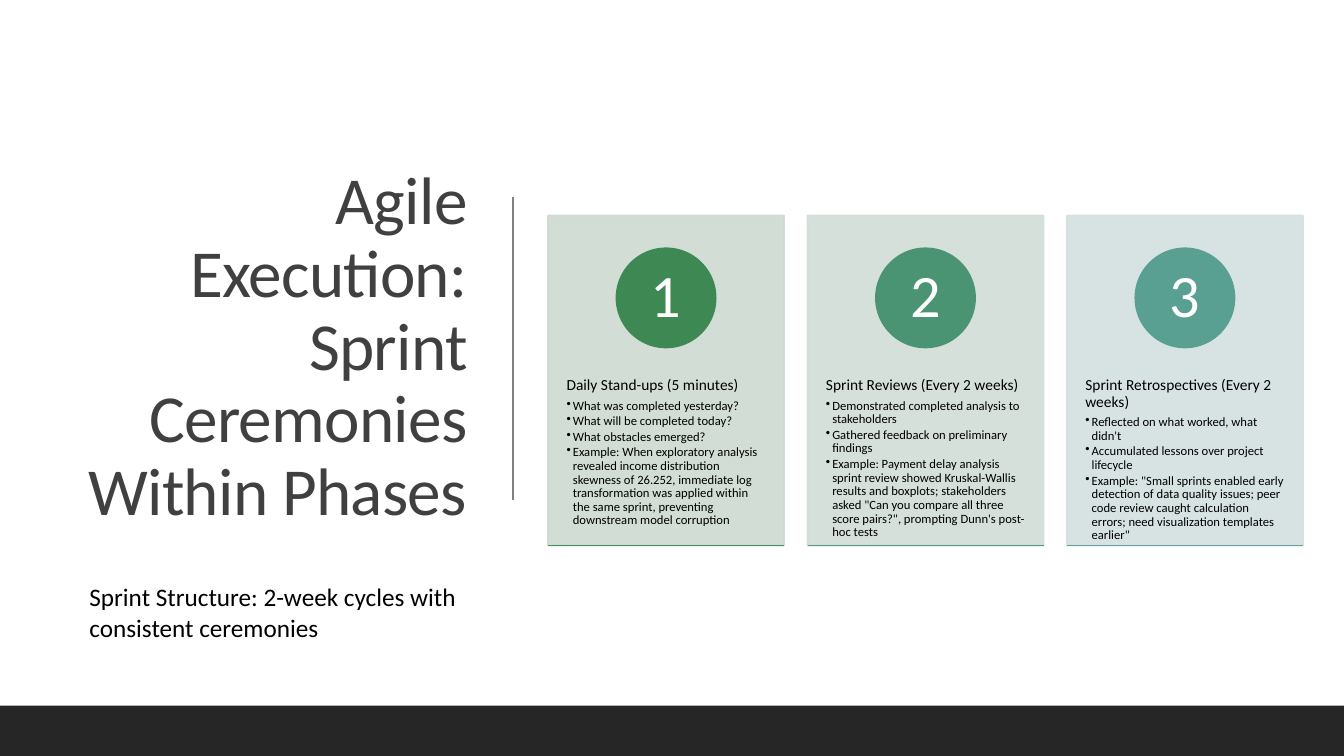
import pptx
import pptx.dml.color
import pptx.enum.shapes
import pptx.enum.text
import pptx.oxml.ns
import pptx.util
from dataclasses import dataclass
from lxml import etree

Pt = pptx.util.Pt
Kind = pptx.enum.shapes.MSO_SHAPE
Side = pptx.enum.text.PP_ALIGN
Hold = pptx.enum.text.MSO_ANCHOR
qn = pptx.oxml.ns.qn


@dataclass(frozen=True)
class Theme:
    font: str = "Calibri"
    page: str = "FFFFFF"
    title: str = "404040"
    text: str = "000000"
    rule: str = "808080"
    band: str = "262626"
    huge: float = 48
    digit: float = 43
    note: float = 18
    head: float = 11
    item: float = 9


def rgb(code):
    return pptx.dml.color.RGBColor.from_string(code)


def write(para, text, font, size, color, side=Side.LEFT, lead=None,
          after=0, bullet=None, track=None):
    """Put one formatted run of text in a paragraph."""
    if bullet:
        props = para._p.get_or_add_pPr()
        props.set("marL", str(Pt(4.5)))
        props.set("indent", str(Pt(-4.5)))
        etree.SubElement(props, qn("a:buChar"), char=bullet)
    para.alignment = side
    para.space_after = Pt(after)
    if lead:
        para.line_spacing = lead
    run = para.add_run()
    run.text = text
    run.font.name = font
    run.font.size = Pt(size)
    run.font.color.rgb = rgb(color)
    if track:
        run._r.get_or_add_rPr().set("spc", str(track))


class Deck:
    def __init__(self, theme):
        self.theme = theme
        self.file = pptx.Presentation()
        self.file.slide_width = Pt(960)
        self.file.slide_height = Pt(540)
        self.slide = self.file.slides.add_slide(self.file.slide_layouts[6])
        back = self.slide.background.fill
        back.solid()
        back.fore_color.rgb = rgb(theme.page)

    def shape(self, kind, x, y, w, h, color, edge=None, alpha=None):
        item = self.slide.shapes.add_shape(kind, Pt(x), Pt(y), Pt(w), Pt(h))
        item.shadow.inherit = False
        item.fill.solid()
        item.fill.fore_color.rgb = rgb(color)
        if edge:
            item.line.color.rgb = rgb(color)
            item.line.width = Pt(edge)
        else:
            item.line.fill.background()
        if alpha:
            for tone in item._element.spPr.iter(qn("a:srgbClr")):
                etree.SubElement(tone, qn("a:alpha"), val=str(alpha * 1000))

    def line(self, x1, y1, x2, y2, color, width):
        item = self.slide.shapes.add_connector(
            pptx.enum.shapes.MSO_CONNECTOR.STRAIGHT,
            Pt(x1), Pt(y1), Pt(x2), Pt(y2))
        item.line.color.rgb = rgb(color)
        item.line.width = Pt(width)
        etree.SubElement(item._element.spPr, qn("a:effectLst"))

    def text(self, x, y, w, h, paras, hold=Hold.TOP, pad=(7.2, 3.6)):
        """Add a text box; each paragraph is a (text, format) pair."""
        box = self.slide.shapes.add_textbox(Pt(x), Pt(y), Pt(w), Pt(h))
        frame = box.text_frame
        frame.word_wrap = True
        frame.vertical_anchor = hold
        frame.margin_left = frame.margin_right = Pt(pad[0])
        frame.margin_top = frame.margin_bottom = Pt(pad[1])
        for place, (words, style) in enumerate(paras):
            para = frame.add_paragraph() if place else frame.paragraphs[0]
            look = {"font": self.theme.font, "color": self.theme.text, **style}
            write(para, words, **look)

    def card(self, x, digit, head, items, tint, disc, base):
        look = self.theme
        top, wide, tall, size = 154, 168.6, 235.7, 70.8
        mid = x + wide / 2
        self.shape(Kind.RECTANGLE, x, top, wide, tall, tint, 1.25, 90)
        # Heading and bullets
        paras = [(head, dict(size=look.head, lead=0.9, after=3.85))]
        paras += [(item, dict(size=look.item, lead=0.9, after=1.35,
                              bullet="•")) for item in items]
        self.text(x, 243.4, wide, 141.4, paras, pad=(13.2, 26))
        # Numbered disc
        self.shape(Kind.OVAL, mid - size / 2, 177.4, size, size, disc, 1.25)
        self.text(mid - 25, 187.8, 50, 50,
                  [(digit, dict(size=look.digit, color=look.page,
                                side=Side.CENTER, lead=0.9))],
                  Hold.MIDDLE, (5.5, 0.9))
        # Base line
        self.line(x, top + tall, x + wide, top + tall, base, 1.25)


CARDS = [
    ("Daily Stand-ups (5 minutes)",
     ["What was completed yesterday?",
      "What will be completed today?",
      "What obstacles emerged?",
      "Example: When exploratory analysis revealed income distribution "
      "skewness of 26.252, immediate log transformation was applied within "
      "the same sprint, preventing downstream model corruption"],
     "CEDAD1", "3E8853", "448E63"),
    ("Sprint Reviews (Every 2 weeks)",
     ["Demonstrated completed analysis to stakeholders",
      "Gathered feedback on preliminary findings",
      "Example: Payment delay analysis sprint review showed Kruskal-Wallis "
      "results and boxplots; stakeholders asked \"Can you compare all three "
      "score pairs?\", prompting Dunn's post-hoc tests"],
     "D1DDD7", "4B9473", "529A83"),
    ("Sprint Retrospectives (Every 2 weeks)",
     ["Reflected on what worked, what didn't",
      "Accumulated lessons over project lifecycle",
      "Example: \"Small sprints enabled early detection of data quality "
      "issues; peer code review caught calculation errors; need "
      "visualization templates earlier\""],
     "D3E0DF", "599F92", "62A39F"),
]


def main():
    theme = Theme()
    deck = Deck(theme)

    # Title, divider and bottom band
    deck.text(50.4, 49.7, 290.2, 398.2,
              [("Agile Execution: Sprint Ceremonies Within Phases",
                dict(size=theme.huge, color=theme.title, side=Side.RIGHT,
                     lead=0.9, track=-50))], Hold.MIDDLE)
    deck.line(366.5, 141, 366.5, 357, theme.rule, 1)
    deck.shape(Kind.RECTANGLE, 0, 504, 960, 36, theme.band)

    # Ceremony cards
    for place, card in enumerate(CARDS):
        deck.card(391.5 + place * 185.3, str(place + 1), *card)

    # Sprint note
    deck.text(56.8, 412, 285, 51,
              [("Sprint Structure: 2-week cycles with consistent ceremonies",
                dict(size=theme.note))])

    deck.file.save("out.pptx")


if __name__ == "__main__":
    main()
